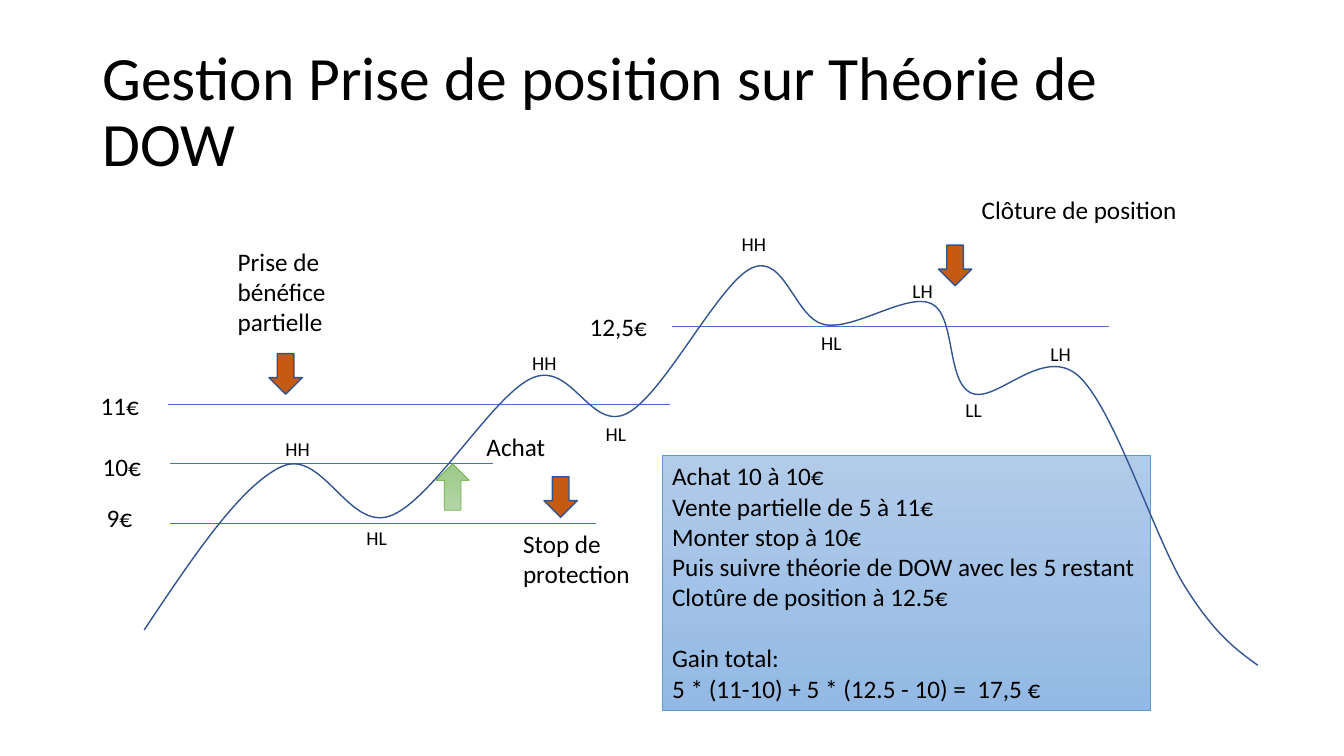
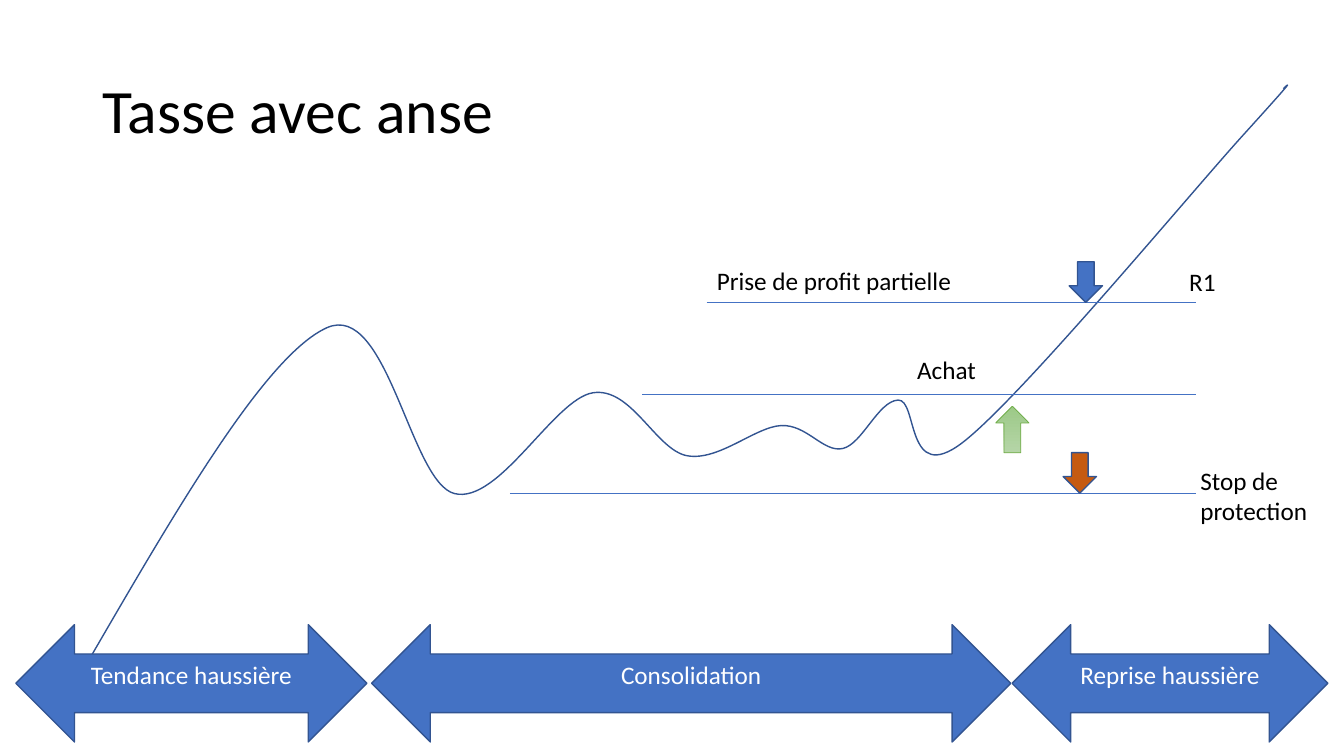
from lxml import etree
from pptx import Presentation
from pptx.dml.color import RGBColor
from pptx.enum.shapes import MSO_CONNECTOR, MSO_SHAPE
from pptx.enum.text import MSO_ANCHOR, PP_ALIGN
from pptx.oxml.ns import qn
from pptx.util import Pt

COLORS = {
    "text": "000000", "white": "FFFFFF", "blue": "4472C4", "navy": "325491",
    "rust": "C55A11", "green_line": "70AD47", "box_line": "5B9BD5",
}
GREEN_GRADIENT = ("B5D5A7", "9CC987")
BOX_GRADIENT = ("B1CBE9", "93B9E4")
FONT = "Calibri"
ARROW_W, SELL_H, BUY_H = 23.8, 29, 33.2


def rgb(name):
    return RGBColor.from_string(COLORS[name])


# Text
def add_run(p, text, size, color="text"):
    r = p.add_run()
    r.text = text
    r.font.name, r.font.size = FONT, Pt(size)
    r.font.color.rgb = rgb(color)


def write_lines(tf, lines, size=18, color="text", align=PP_ALIGN.LEFT):
    for i, line in enumerate(lines):
        p = tf.paragraphs[0] if i == 0 else tf.add_paragraph()
        p.alignment = align
        add_run(p, line, size, color)


def add_title_slide(prs, title):
    s = prs.slides.add_slide(prs.slide_layouts[5])
    sp = s.shapes.title
    sp.left, sp.top, sp.width, sp.height = Pt(66), Pt(28.75), Pt(828), Pt(104.4)
    tf = sp.text_frame
    tf.word_wrap, tf.vertical_anchor = True, MSO_ANCHOR.MIDDLE
    write_lines(tf, [title], 44)
    tf.paragraphs[0].line_spacing = 0.9
    return s


def add_text(s, x, y, w, *lines, size=18, wrap=True, rows=None):
    height = 7.2 + 1.22 * size * (rows or len(lines))
    sp = s.shapes.add_textbox(Pt(x), Pt(y), Pt(w), Pt(height))
    tf = sp.text_frame
    tf.word_wrap = wrap
    write_lines(tf, lines, size)


# Shapes
def set_line(sp, color, width):
    sp.line.color.rgb = rgb(color)
    sp.line.width = Pt(width)


def set_gradient(sp, colors):
    sp.fill.gradient()
    sp.fill.gradient_angle = 270
    for stop, color in zip(sp.fill.gradient_stops, colors):
        stop.color.rgb = RGBColor.from_string(color)


def add_shape(s, kind, x, y, w, h, line="navy", line_width=1, fill=None):
    sp = s.shapes.add_shape(kind, Pt(x), Pt(y), Pt(w), Pt(h))
    sp.shadow.inherit = False
    set_line(sp, line, line_width)
    if fill:
        sp.fill.solid()
        sp.fill.fore_color.rgb = rgb(fill)
    sp.text_frame.vertical_anchor = MSO_ANCHOR.TOP
    return sp


def add_sell_arrow(s, x, y, fill="rust"):
    add_shape(s, MSO_SHAPE.DOWN_ARROW, x, y, ARROW_W, SELL_H, fill=fill)


def add_buy_arrow(s, x, y):
    sp = add_shape(s, MSO_SHAPE.DOWN_ARROW, x, y, ARROW_W, BUY_H, "green_line", 0.5)
    sp.rotation = 180
    set_gradient(sp, GREEN_GRADIENT)


def add_level(s, x1, x2, y):
    line = s.shapes.add_connector(MSO_CONNECTOR.STRAIGHT, Pt(x1), Pt(y), Pt(x2), Pt(y))
    set_line(line, "blue", 0.5)
    etree.SubElement(line._element.spPr, qn("a:effectLst"))


def add_phase(s, x, w, text):
    sp = add_shape(s, MSO_SHAPE.LEFT_RIGHT_ARROW, x, 446.2, w, 83.8, fill="blue")
    write_lines(sp.text_frame, [text], color="white", align=PP_ALIGN.CENTER)


# Price curve: a smooth line through its turning points
def midpoint(a, b):
    return (a[0] + b[0]) / 2, (a[1] + b[1]) / 2


def bezier_segments(knots):
    """Each inner tangent is parallel to the chord between the two neighbours."""
    inner = [((b[0] - a[0]) / 6, (b[1] - a[1]) / 6) for a, b in zip(knots, knots[2:])]
    tangents = [None, *inner, None]
    segments = []
    for a, b, ta, tb in zip(knots, knots[1:], tangents, tangents[1:]):
        c1 = (a[0] + ta[0], a[1] + ta[1]) if ta else None
        c2 = (b[0] - tb[0], b[1] - tb[1]) if tb else midpoint(c1, b)
        segments.append((c1 or midpoint(a, c2), c2, b))
    return segments


def add_price_curve(s, knots):
    points = [(Pt(x), Pt(y)) for x, y in knots]
    builder = s.shapes.build_freeform(*points[0])
    builder.add_line_segments(points[1:], close=False)
    sp = builder.convert_to_shape()
    sp.shadow.inherit = False
    sp.fill.background()
    set_line(sp, "navy", 1)
    # Turn the straight segments into cubic ones
    straight = list(sp._element.iter(qn("a:lnTo")))
    for segment, controls in zip(straight, bezier_segments(points)):
        segment.tag = qn("a:cubicBezTo")
        for old in list(segment):
            segment.remove(old)
        for x, y in controls:
            etree.SubElement(segment, qn("a:pt"), x=str(round(x - sp.left)),
                             y=str(round(y - sp.top)))


# Slides
def build_dow_slide(prs):
    s = add_title_slide(prs, "Gestion Prise de position sur Théorie de DOW")

    # Price levels
    for x1, x2, y in ((121.7, 352.5, 331.2), (121.7, 425.5, 373.7),
                      (480.2, 792, 233.3), (120.2, 478.8, 288.7)):
        add_level(s, x1, x2, y)
    for x, y, w, price in ((66.2, 319, 42.5, "10€"), (69.1, 355, 33.1, "9€"),
                           (414, 218.9, 56.2, "12,5€"), (64.8, 275.5, 42.5, "11€")):
        add_text(s, x, y, w, price, wrap=False)

    # Orders
    add_buy_arrow(s, 311.4, 331.2)
    for x, y in ((388.6, 340.5), (670.3, 175.1), (192.1, 252.6)):
        add_sell_arrow(s, x, y)
    add_text(s, 340.4, 304.6, 56.9, "Achat", wrap=False)
    add_text(s, 366.5, 373.7, 92.2, "Stop de", "protection", wrap=False)
    add_text(s, 694.1, 135.4, 155.5, "Clôture de position", wrap=False)
    add_text(s, 162.7, 172.1, 94.3, "Prise de bénéfice partielle", rows=3)

    # Trade summary
    box = add_shape(s, MSO_SHAPE.RECTANGLE, 473, 325.6, 348.5, 181.5, "box_line", 0.5)
    set_gradient(box, BOX_GRADIENT)
    tf = box.text_frame
    tf.word_wrap = False
    write_lines(tf, ["Achat 10 à 10€", "Vente partielle de 5 à 11€", "Monter stop à 10€",
                     "Puis suivre théorie de DOW avec les 5 restant",
                     "Clotûre de position à 12.5€", "Gain total:",
                     "5 * (11-10) + 5 * (12.5 - 10) =  17,5 €"])
    tf.paragraphs[5].space_before = Pt(22)

    # Curve and its highs and lows
    add_price_curve(s, [(103, 450), (201, 333.4), (278.6, 368.6), (380.2, 270),
                        (447.8, 295.4), (537.1, 191.4), (589, 231.9), (665.3, 216.9),
                        (693.4, 280.7), (770.4, 268.6), (846, 418.3), (898.4, 475.2)])
    for x, y, label in ((373, 247, "HH"), (196.8, 308.6, "HH"), (522.7, 162, "HH"),
                        (644.6, 195.8, "LH"), (425.5, 298.1, "HL"), (254.7, 372.2, "HL"),
                        (579.4, 233, "HL"), (682.4, 280.4, "LL"), (743.2, 240.5, "LH")):
        add_text(s, x, y, 37.4, label, size=14)


def build_cup_slide(prs):
    s = add_title_slide(prs, "Tasse avec anse")
    add_price_curve(s, [(63.4, 471.6), (233.3, 234.2), (324.7, 352.6), (423.4, 280.6),
                        (491, 325.6), (558, 304), (601.9, 320.4), (641.5, 285.8),
                        (687.6, 316.1), (887.8, 96.7), (916.6, 63.4)])

    # Price levels, all ending at the same right edge
    for x, y in ((458.6, 281.5), (364.3, 352.5), (504.7, 216)):
        add_level(s, x, 854.6, y)

    # Orders
    add_buy_arrow(s, 711.2, 290.2)
    add_sell_arrow(s, 759.4, 323.3)
    add_sell_arrow(s, 763.7, 187)
    s.shapes[-1].fill.fore_color.rgb = rgb("blue")
    add_text(s, 850.3, 329, 105, "Stop de", "protection")
    add_text(s, 648, 249.8, 56.9, "Achat")
    add_text(s, 842.4, 186.9, 54.7, "R1")
    add_text(s, 504.9, 186.2, 193.7, "Prise de profit partielle")

    # Phases
    for x, w, phase in ((265.5, 456.5, "Consolidation"), (11.3, 250.8, "Tendance haussière"),
                        (722.9, 225.6, "Reprise haussière")):
        add_phase(s, x, w, phase)


def main():
    prs = Presentation()
    prs.slide_width, prs.slide_height = Pt(960), Pt(540)
    build_dow_slide(prs)
    build_cup_slide(prs)
    prs.save("out.pptx")


if __name__ == "__main__":
    main()
